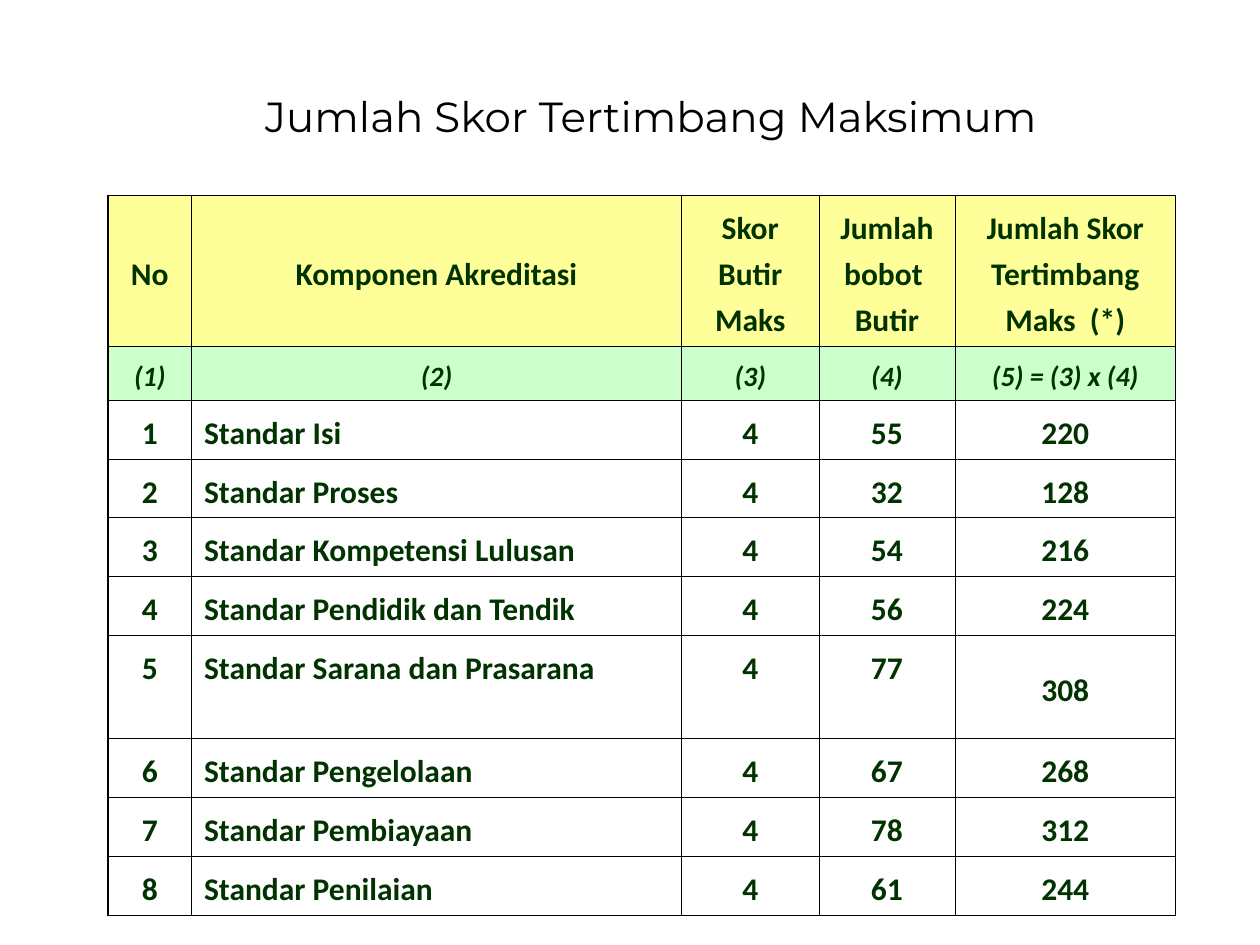
from lxml.etree import SubElement
from pptx import Presentation
from pptx.dml.color import RGBColor as RGB
from pptx.enum.text import MSO_ANCHOR as ANCHOR, MSO_AUTO_SIZE as AUTO_SIZE, PP_ALIGN as ALIGN
from pptx.oxml.ns import qn
from pptx.util import Cm, Pt

COLORS = {"title": "000000", "text": "003300", "border": "000000",
          "header": "FFFF99", "formula": "CCFFCC"}
THIN, THICK = 0.45, 0.96
COL_WIDTHS = [1.68, 9.88, 2.77, 2.74, 4.45]
HEADER_HEIGHT, FORMULA_HEIGHT, ROW_HEIGHT, TALL_HEIGHT = 3.0, 1.07, 1.17, 2.08
TALL_STANDARD = "Sarana dan Prasarana"
HEADERS = ["No", "Komponen Akreditasi", "Skor Butir Maks",
           "Jumlah bobot  Butir", "Jumlah Skor Tertimbang Maks  (*)"]
FORMULAS = ["(1)", "(2)", "(3)", "(4)", "(5) = (3) x (4)"]
MAX_SCORE = 4
WEIGHTS = {"Isi": 55, "Proses": 32, "Kompetensi Lulusan": 54,
           "Pendidik dan Tendik": 56, TALL_STANDARD: 77,
           "Pengelolaan": 67, "Pembiayaan": 78, "Penilaian": 61}


def set_font(p, name, size, color, bold=False, italic=False):
    """Set the font of a whole paragraph."""
    f = p.font
    f.name, f.size, f.bold, f.italic = name, Pt(size), bold, italic
    f.color.rgb = RGB.from_string(COLORS[color])


def add_title(s, text):
    """Add the centred slide title."""
    tf = s.shapes.add_textbox(Cm(2.11), Cm(1.7), Cm(22.02), Cm(1.37)).text_frame
    tf.word_wrap = False
    tf.auto_size = AUTO_SIZE.NONE
    p = tf.paragraphs[0]
    p.text = text
    p.alignment = ALIGN.CENTER
    set_font(p, "Montserrat", 24, "title")


def set_borders(cell, widths):
    """Draw the cell borders from a dict of side to width in points."""
    tc_pr = cell._tc.get_or_add_tcPr()
    for side, width in widths.items():
        ln = SubElement(tc_pr, qn(f"a:ln{side}"), w=str(Pt(width)))
        fill = SubElement(ln, qn("a:solidFill"))
        SubElement(fill, qn("a:srgbClr"), val=COLORS["border"])


def fill_cell(cell, text, row, col):
    """Write and style one cell according to its row and column."""
    last = len(COL_WIDTHS) - 1
    set_borders(cell, {"L": THIN if col else THICK,
                       "R": THICK if col == last else THIN,
                       "T": THIN if row else THICK,
                       "B": THIN})
    if row < 2:
        cell.fill.solid()
        cell.fill.fore_color.rgb = RGB.from_string(COLORS["formula" if row else "header"])
    else:
        cell.fill.background()
    middle = row == 0 or (row > 1 and col == last)
    cell.vertical_anchor = ANCHOR.MIDDLE if middle else ANCHOR.TOP
    p = cell.text_frame.paragraphs[0]
    p.text = str(text)
    p.alignment = ALIGN.LEFT if row > 1 and col == 1 else ALIGN.CENTER
    p.line_spacing = 1.2
    set_font(p, "Calibri", 16 if row == 1 else 18, "text", bold=True, italic=row == 1)


def add_score_table(s):
    """Add the table of weighted maximum scores."""
    rows = [HEADERS, FORMULAS] + [
        [no, f"Standar {name}", MAX_SCORE, weight, MAX_SCORE * weight]
        for no, (name, weight) in enumerate(WEIGHTS.items(), 1)]
    heights = [HEADER_HEIGHT, FORMULA_HEIGHT] + [
        TALL_HEIGHT if name == TALL_STANDARD else ROW_HEIGHT for name in WEIGHTS]
    table = s.shapes.add_table(len(rows), len(COL_WIDTHS), Cm(2.18), Cm(3.94),
                               Cm(sum(COL_WIDTHS)), Cm(sum(heights))).table
    table.horz_banding = False
    for column, width in zip(table.columns, COL_WIDTHS):
        column.width = Cm(width)
    for i, (values, height) in enumerate(zip(rows, heights)):
        table.rows[i].height = Cm(height)
        for j, value in enumerate(values):
            fill_cell(table.cell(i, j), value, i, j)


def main():
    """Build and save the slide."""
    prs = Presentation()
    prs.slide_width, prs.slide_height = Cm(25.4), Cm(19.05)
    s = prs.slides.add_slide(prs.slide_layouts[6])
    add_title(s, "Jumlah Skor Tertimbang Maksimum")
    add_score_table(s)
    prs.save("out.pptx")


if __name__ == "__main__":
    main()
